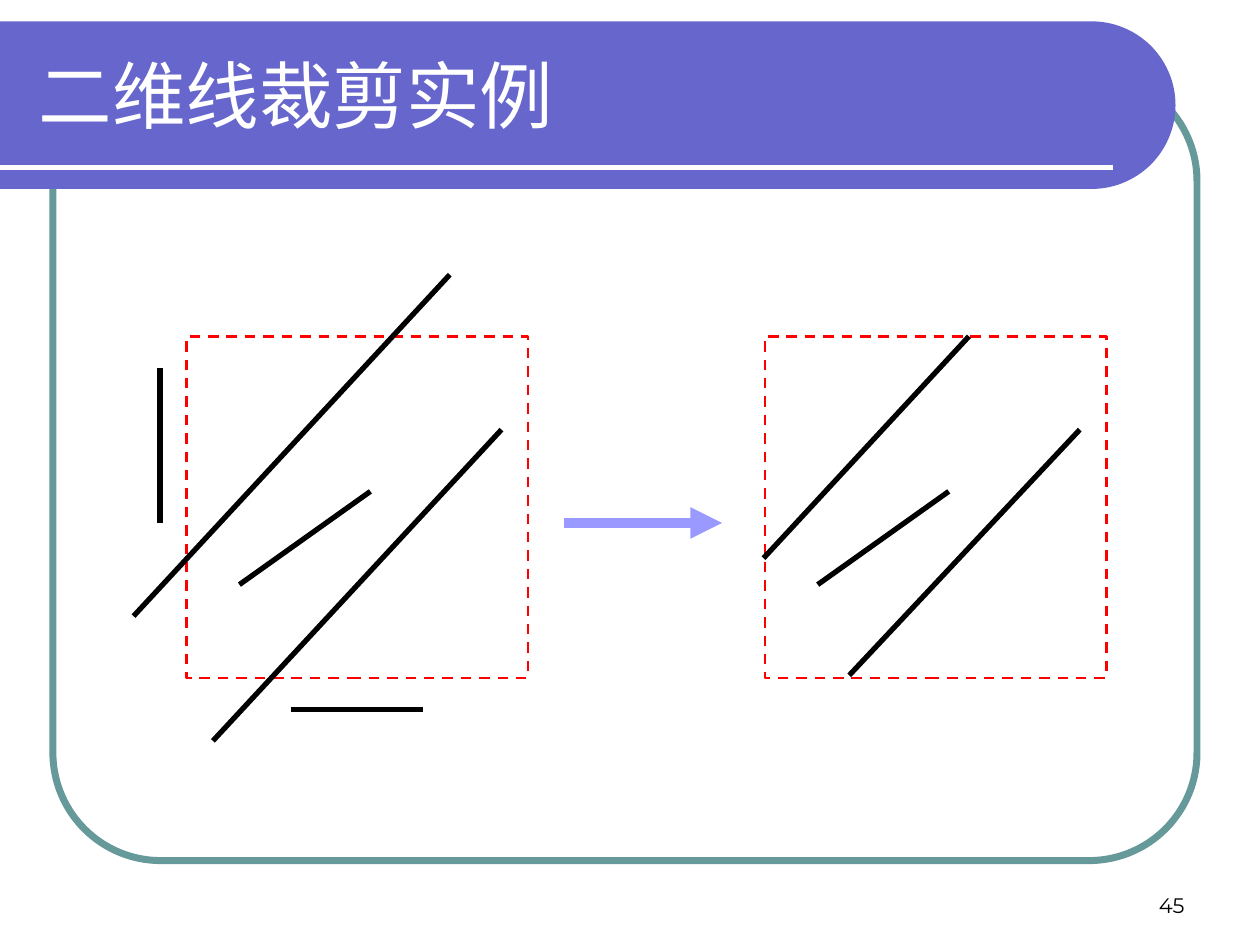
from dataclasses import dataclass
from math import cos, pi, sin
from typing import Any

from lxml.etree import SubElement
from pptx import Presentation
from pptx.dml.color import RGBColor
from pptx.enum.dml import MSO_LINE
from pptx.enum.shapes import MSO_CONNECTOR, MSO_SHAPE
from pptx.enum.text import MSO_ANCHOR, PP_ALIGN
from pptx.oxml.ns import qn
from pptx.util import Inches, Pt

BLACK = RGBColor(0x00, 0x00, 0x00)
WHITE = RGBColor(0xFF, 0xFF, 0xFF)
RED = RGBColor(0xFF, 0x00, 0x00)
TEAL = RGBColor(0x66, 0x99, 0x99)
VIOLET = RGBColor(0x66, 0x66, 0xCC)
LILAC = RGBColor(0x99, 0x99, 0xFF)

TOP = 2.67
SIDE = 2.71
LEFT = 1.48
SHIFT = 4.59


@dataclass
class Line:
    x1: float
    y1: float
    x2: float
    y2: float
    color: RGBColor = BLACK
    width: float = 3
    arrow: bool = False


@dataclass
class Label:
    text: str
    left: float
    top: float
    width: float
    height: float
    anchor: MSO_ANCHOR
    align: PP_ALIGN
    font: dict[str, Any]
    color: RGBColor


def apply(target: Any, values: dict[str, Any]) -> None:
    for name, value in values.items():
        setattr(target, name, value)


def draw_line(shapes: Any, item: Line) -> None:
    ends = [Inches(v) for v in (item.x1, item.y1, item.x2, item.y2)]
    shape = shapes.add_connector(MSO_CONNECTOR.STRAIGHT, *ends)
    shape.line.color.rgb = item.color
    shape.line.width = Pt(item.width)
    if item.arrow:
        SubElement(shape.line._get_or_add_ln(), qn("a:tailEnd"), type="triangle")
    SubElement(shape._element.spPr, qn("a:effectLst"))


def draw_box(shapes: Any, kind: MSO_SHAPE, left: float, top: float,
             width: float, height: float, color: RGBColor, weight: float) -> Any:
    box = shapes.add_shape(kind, Inches(left), Inches(top),
                           Inches(width), Inches(height))
    box.shadow.inherit = False
    box.fill.background()
    box.line.color.rgb = color
    box.line.width = Pt(weight)
    return box


def draw_frame(shapes: Any) -> None:
    frame = draw_box(shapes, MSO_SHAPE.ROUNDED_RECTANGLE,
                     0.42, 0.58, 9.08, 6.25, TEAL, 4)
    frame.adjustments[0] = 0.137


def draw_band(shapes: Any) -> None:
    top, low, edge, steps = 0.17, 1.5, 9.33, 60
    radius = (low - top) / 2
    angles = [pi * (i / steps - 0.5) for i in range(steps + 1)]
    arc = [(Inches(edge - radius + radius * cos(a)),
            Inches(top + radius + radius * sin(a))) for a in angles]
    path = shapes.build_freeform(0, Inches(top))
    path.add_line_segments(arc + [(0, Inches(low))], close=True)
    band = path.convert_to_shape()
    band.shadow.inherit = False
    band.fill.solid()
    band.fill.fore_color.rgb = VIOLET
    band.line.fill.background()


def draw_window(shapes: Any, left: float) -> None:
    box = draw_box(shapes, MSO_SHAPE.RECTANGLE, left, TOP, SIDE, SIDE, RED, 1.5)
    box.line.dash_style = MSO_LINE.DASH


def draw_label(shapes: Any, item: Label) -> None:
    box = shapes.add_textbox(Inches(item.left), Inches(item.top),
                             Inches(item.width), Inches(item.height))
    frame = box.text_frame
    apply(frame, {"word_wrap": True, "vertical_anchor": item.anchor})
    para = frame.paragraphs[0]
    para.alignment = item.align
    run = para.add_run()
    run.text = item.text
    apply(run.font, item.font)
    run.font.color.rgb = item.color


def main() -> None:
    deck = Presentation()
    apply(deck, {"slide_width": Inches(10), "slide_height": Inches(7.5)})
    shapes = deck.slides.add_slide(deck.slide_layouts[6]).shapes

    draw_frame(shapes)
    draw_band(shapes)
    draw_line(shapes, Line(0, 1.33, 8.83, 1.33, WHITE))
    draw_label(shapes, Label("二维线裁剪实例", 0.21, 0.25, 8.77, 1,
                             MSO_ANCHOR.MIDDLE, PP_ALIGN.LEFT,
                             {"name": "Arial", "size": Pt(42)}, WHITE))

    before = [
        Line(1.06, 4.89, 3.57, 2.18),
        Line(1.27, 4.15, 1.27, 2.92),
        Line(2.31, 5.63, 3.36, 5.63),
        Line(1.9, 4.64, 2.94, 3.9),
        Line(3.98, 3.41, 1.69, 5.88),
    ]
    after = [
        Line(6.06, 4.43, 7.69, TOP),
        Line(1.9 + SHIFT, 4.64, 2.94 + SHIFT, 3.9),
        Line(3.98 + SHIFT, 3.41, 6.74, 5.36),
    ]
    for left, lines in ((LEFT, before), (LEFT + SHIFT, after)):
        draw_window(shapes, left)
        for item in lines:
            draw_line(shapes, item)

    draw_line(shapes, Line(4.48, 4.15, 5.73, 4.15, LILAC, 6, True))
    draw_label(shapes, Label("45", 7.17, 6.83, 2.33, 0.5,
                             MSO_ANCHOR.BOTTOM, PP_ALIGN.RIGHT,
                             {"name": "Montserrat", "size": Pt(12)}, BLACK))
    deck.save("out.pptx")


if __name__ == "__main__":
    main()
